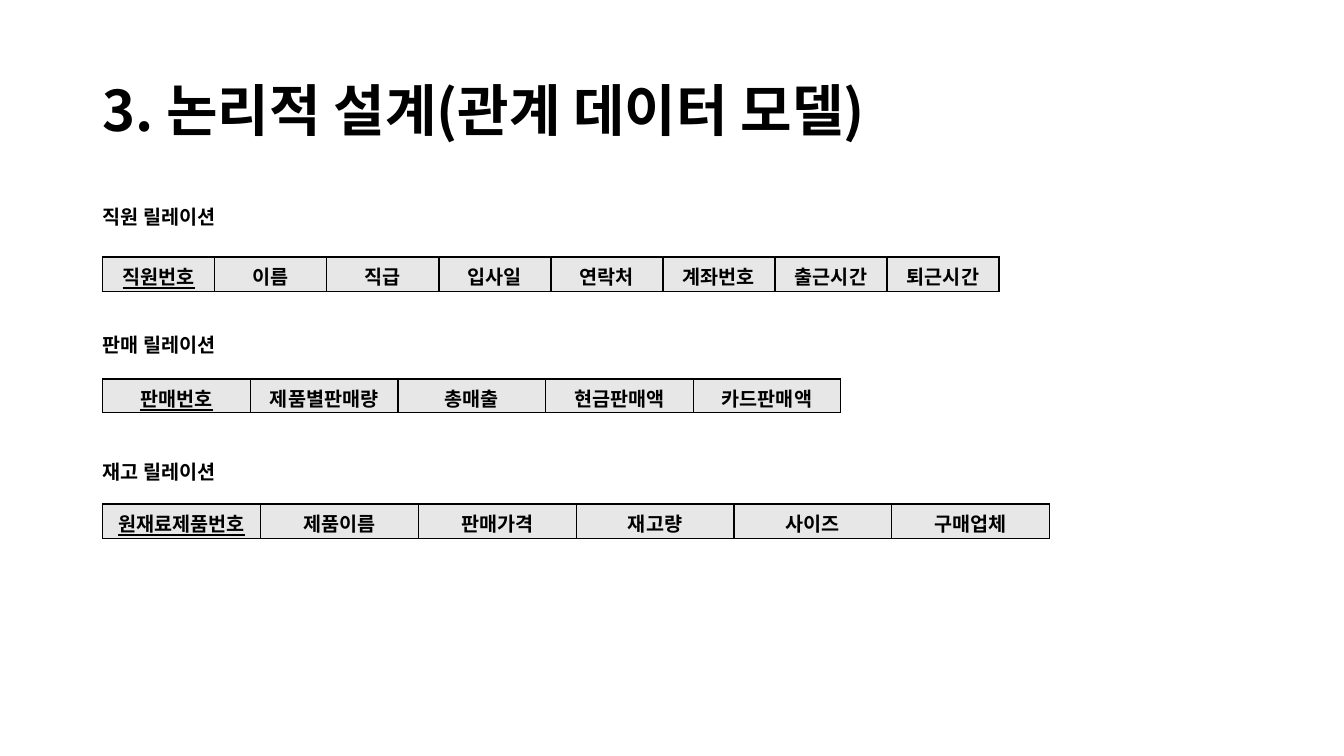
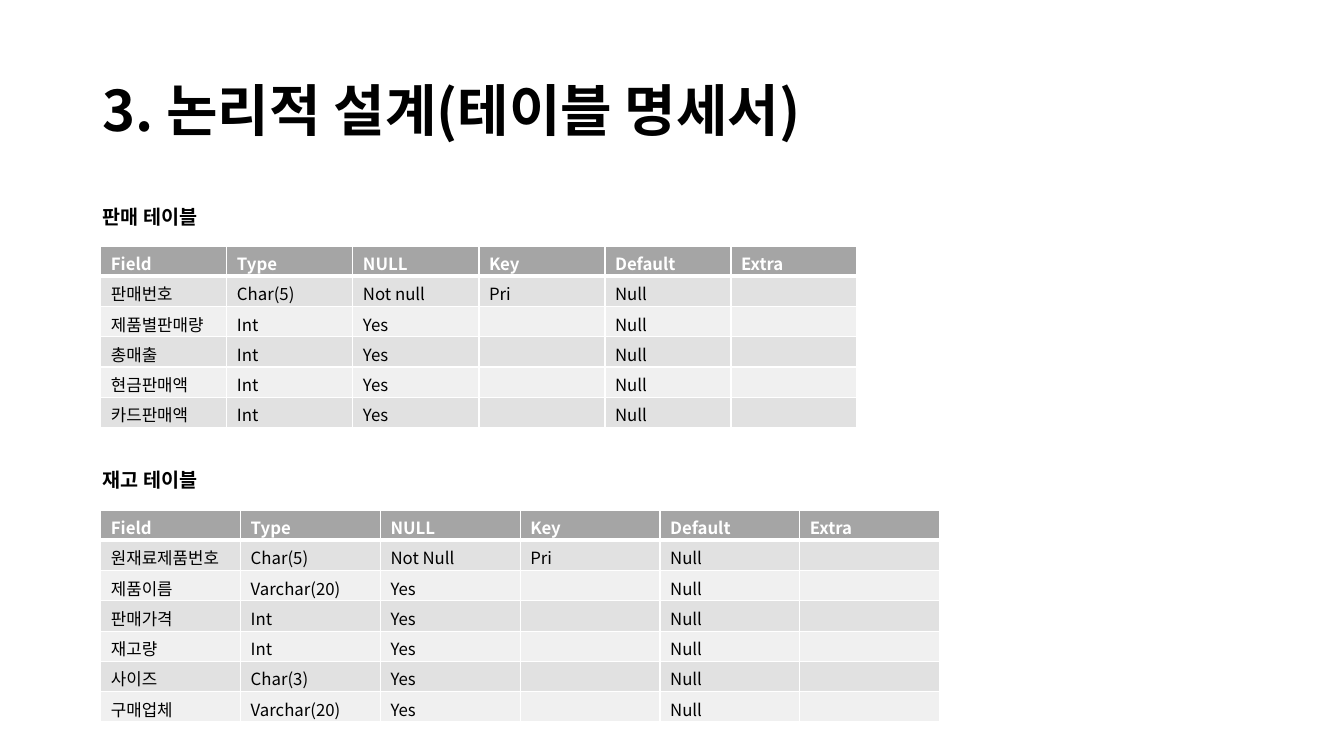
from pptx import Presentation
from pptx.dml.color import RGBColor
from pptx.enum.text import MSO_ANCHOR, PP_ALIGN
from pptx.oxml.xmlchemy import OxmlElement
from pptx.util import Pt

PX = 9144  # 100 px to the inch
FONT = "Noto Sans CJK KR"
BLACK, WHITE = "000000", "FFFFFF"
RELATION_FILL, HEADER_FILL, BANDS = "E7E7E7", "A5A5A5", ("F0F0F0", "E1E1E1")

TITLE = {"size": Pt(40), "bold": True, "color": BLACK}
LABEL = {"size": Pt(14), "bold": True, "color": BLACK}
KEY = {**LABEL, "underline": True}
HEADER = {"size": Pt(12), "bold": True, "color": WHITE}
BODY = {"size": Pt(12), "bold": False, "color": BLACK}

FIELDS = ["Field", "Type", "NULL", "Key", "Default", "Extra"]


def color(value):
    return RGBColor.from_string(value)


def write(para, text, style):
    if not text:
        # An empty cell still needs its text size to keep the row height
        end = OxmlElement("a:endParaRPr")
        end.set("sz", str(style["size"].centipoints))
        para._p.append(end)
        return
    span = para.add_run()
    span.text = text
    span.font.name = FONT
    for name, value in style.items():
        if name == "color":
            span.font.color.rgb = color(value)
        else:
            setattr(span.font, name, value)
    # Korean letters take the East Asian font
    east_asian = OxmlElement("a:ea")
    east_asian.set("typeface", FONT)
    span.font._element.append(east_asian)


# Each table: label, label top, left, top, width, row height, rows
relations = [
    ("직원 릴레이션", 198, 102, 255, 889, 34,
     [["직원번호", "이름", "직급", "입사일", "연락처", "계좌번호", "출근시간", "퇴근시간"]]),
    ("판매 릴레이션", 325, 102, 376, 732, 33,
     [["판매번호", "제품별판매량", "총매출", "현금판매액", "카드판매액"]]),
    ("재고 릴레이션", 451, 102, 500, 939, 34,
     [["원재료제품번호", "제품이름", "판매가격", "재고량", "사이즈", "구매업체"]]),
]
sales = [("제품별판매량", "Int"), ("총매출", "Int"), ("현금판매액", "Int"), ("카드판매액", "Int")]
stock = [("제품이름", "Varchar(20)"), ("판매가격", "Int"), ("재고량", "Int"),
         ("사이즈", "Char(3)"), ("구매업체", "Varchar(20)")]
specifications = [
    ("판매 테이블", 198, 100, 244, 750, 30,
     [FIELDS, ["판매번호", "Char(5)", "Not null", "Pri", "Null", ""]]
     + [[field, kind, "Yes", "", "Null", ""] for field, kind in sales]),
    ("재고 테이블", 459, 100, 506, 832, 30,
     [FIELDS, ["원재료제품번호", "Char(5)", "Not Null", "Pri", "Null", ""]]
     + [[field, kind, "Yes", "", "Null", ""] for field, kind in stock]),
]

deck = Presentation()
deck.slide_width, deck.slide_height = 1333 * PX, 750 * PX

for title, tables in [("3. 논리적 설계(관계 데이터 모델)", relations),
                      ("3. 논리적 설계(테이블 명세서)", specifications)]:
    page = deck.slides.add_slide(deck.slide_layouts[6])
    is_relation = tables is relations

    # Title
    box = page.shapes.add_textbox(92 * PX, 40 * PX, 1150 * PX, 145 * PX)
    box.text_frame.word_wrap = True
    box.text_frame.vertical_anchor = MSO_ANCHOR.MIDDLE
    para = box.text_frame.paragraphs[0]
    para.line_spacing = 0.9
    write(para, title, TITLE)

    for label, label_top, left, top, width, row_height, rows in tables:
        # Label above the table
        box = page.shapes.add_textbox(92 * PX, label_top * PX, 145 * PX, 34 * PX)
        box.text_frame.word_wrap = False
        write(box.text_frame.paragraphs[0], label, LABEL)

        # Table with equal columns
        table = page.shapes.add_table(len(rows), len(rows[0]), left * PX, top * PX,
                                      width * PX, row_height * len(rows) * PX).table
        for r, row in enumerate(rows):
            for c, text in enumerate(row):
                cell = table.cell(r, c)
                para = cell.text_frame.paragraphs[0]
                if is_relation:
                    fill, line, style = RELATION_FILL, BLACK, LABEL if c else KEY
                    para.alignment = PP_ALIGN.CENTER
                elif r == 0:
                    fill, line, style = HEADER_FILL, WHITE, HEADER
                else:
                    fill, line, style = BANDS[r % 2], WHITE, BODY
                write(para, text, style)

                # Borders, thicker around the header's lower edge
                properties = cell._tc.get_or_add_tcPr()
                for side in ("L", "R", "T", "B"):
                    under_header = not is_relation and (r, side) in ((0, "B"), (1, "T"))
                    border = OxmlElement(f"a:ln{side}")
                    border.set("w", str(Pt(3 if under_header else 1)))
                    solid = OxmlElement("a:solidFill")
                    ink = OxmlElement("a:srgbClr")
                    ink.set("val", line)
                    solid.append(ink)
                    border.append(solid)
                    properties.append(border)
                cell.fill.solid()
                cell.fill.fore_color.rgb = color(fill)

deck.save("out.pptx")
